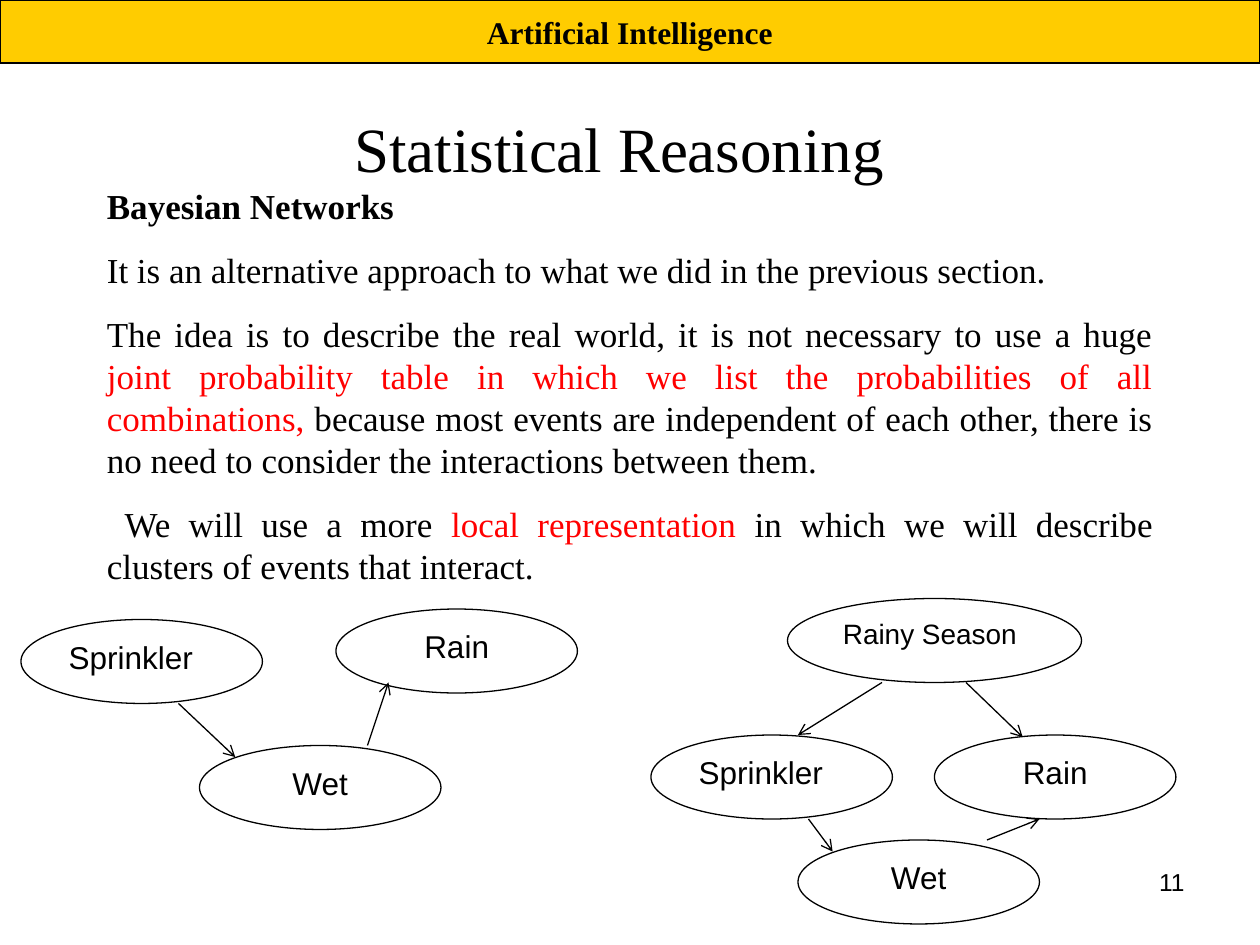
from lxml import etree
from pptx import Presentation
from pptx import util as u
from pptx.dml.color import RGBColor
from pptx.enum import shapes, text
from pptx.oxml.ns import qn

COLUMNS, ROWS = 120, 90
BLACK, RED, GOLD = "000000", "FF0000", "FFCC00"
SERIF, SANS = "Times New Roman", "Arial"
LEFT, CENTER, RIGHT, JUSTIFY = (
    text.PP_ALIGN.LEFT, text.PP_ALIGN.CENTER, text.PP_ALIGN.RIGHT, text.PP_ALIGN.JUSTIFY)
MIDDLE = text.MSO_ANCHOR.MIDDLE

HEADER = "Artificial Intelligence"
TITLE = "Statistical Reasoning"
PAGE = "11"
HEADING = "Bayesian Networks"
BODY = [
    [(HEADING, BLACK)],
    [("It is an alternative approach to what we did in the previous section.", BLACK)],
    [("The idea is to describe the real world, it is not necessary to use a huge ", BLACK),
     ("joint probability table in which we list the probabilities of all combinations,", RED),
     (" because most events are independent of each other, there is no need to consider "
      "the interactions between them.", BLACK)],
    [(" We will use a more ", BLACK),
     ("local representation ", RED),
     ("in which we will describe clusters of events that interact.", BLACK)],
]

EVENT_WIDTH, EVENT_HEIGHT = 23, 8
EVENTS = [
    ("Wet", 19, 71, {}),
    ("Rain", 32, 58, {}),
    ("Sprinkler", 2, 59, {"align": LEFT}),
    ("Wet", 76, 80, {}),
    ("Rain", 89, 70, {}),
    ("Sprinkler", 62, 70, {"align": LEFT}),
    ("Rainy Season", 75, 57, {"align": LEFT, "size": 16, "width": 28}),
]
INFLUENCES = [
    ((17, 67), (22.4, 72.1)),
    ((35, 71), (37, 65)),
    ((77, 78), (79.3, 81.1)),
    ((94, 80), (99, 78)),
    ((84, 65), (76, 70)),
    ((92, 65), (97.4, 70.2)),
]

deck = Presentation()
deck.slide_width, deck.slide_height = u.Inches(10), u.Inches(7.5)
slide = deck.slides.add_slide(deck.slide_layouts[6])


def color(value):
    return RGBColor.from_string(value)


def across(columns):
    return round(deck.slide_width * columns / COLUMNS)


def down(rows):
    return round(deck.slide_height * rows / ROWS)


def place(left, top, width, height):
    return across(left), down(top), across(width), down(height)


def write(holder, paragraphs, size=18, font=SANS, align=CENTER, anchor=text.MSO_ANCHOR.TOP,
          bold=(), before=0, indent=0, wrap=True):
    frame = holder.text_frame
    frame.word_wrap = wrap
    frame.vertical_anchor = anchor
    for index, pieces in enumerate(paragraphs):
        paragraph = frame.paragraphs[0] if index == 0 else frame.add_paragraph()
        paragraph.alignment = align
        paragraph.space_before = u.Pt(before)
        if indent:
            properties = paragraph._p.get_or_add_pPr()
            properties.set("marL", str(across(indent)))
            properties.set("indent", "0")
        for words, ink in pieces:
            run = paragraph.add_run()
            run.text = words
            run.font.size, run.font.name = u.Pt(size), font
            run.font.bold = words in bold
            run.font.color.rgb = color(ink)


def outline(line):
    line.color.rgb = color(BLACK)
    line.width = u.Pt(0.74)


def draw(kind, area, fill=None):
    drawn = slide.shapes.add_shape(kind, *place(*area))
    drawn.shadow.inherit = False
    if fill:
        drawn.fill.solid()
        drawn.fill.fore_color.rgb = color(fill)
    else:
        drawn.fill.background()
    outline(drawn.line)
    return drawn


def label(area, paragraphs, **style):
    write(slide.shapes.add_textbox(*place(*area)), paragraphs, **style)


def arrow(start, end):
    link = slide.shapes.add_connector(
        shapes.MSO_CONNECTOR.STRAIGHT,
        across(start[0]), down(start[1]), across(end[0]), down(end[1]))
    outline(link.line)
    etree.SubElement(link.line._get_or_add_ln(), qn("a:tailEnd"), type="arrow")
    etree.SubElement(link._element.spPr, qn("a:effectLst"))


label((86, 82, 28, 6.25), [[(PAGE, BLACK)]], size=14, align=RIGHT)
label((8, 8, 102, 12), [[(TITLE, BLACK)]], size=36, font=SERIF, anchor=MIDDLE)
banner = draw(shapes.MSO_SHAPE.RECTANGLE, (0, 0, COLUMNS, 6), GOLD)
write(banner, [[(HEADER, BLACK)]], font=SERIF, bold=(HEADER,), anchor=MIDDLE, wrap=False)
label((3, 17, 108, 70), BODY, size=20, font=SERIF, align=JUSTIFY,
      bold=(HEADING,), before=12.5, indent=6)

for event, left, top, style in EVENTS:
    look = dict(style)
    width = look.pop("width", EVENT_WIDTH)
    oval = draw(shapes.MSO_SHAPE.OVAL, (left, top, width, EVENT_HEIGHT))
    write(oval, [[(event, BLACK)]], **look)

for cause, effect in INFLUENCES:
    arrow(cause, effect)

deck.save("out.pptx")
